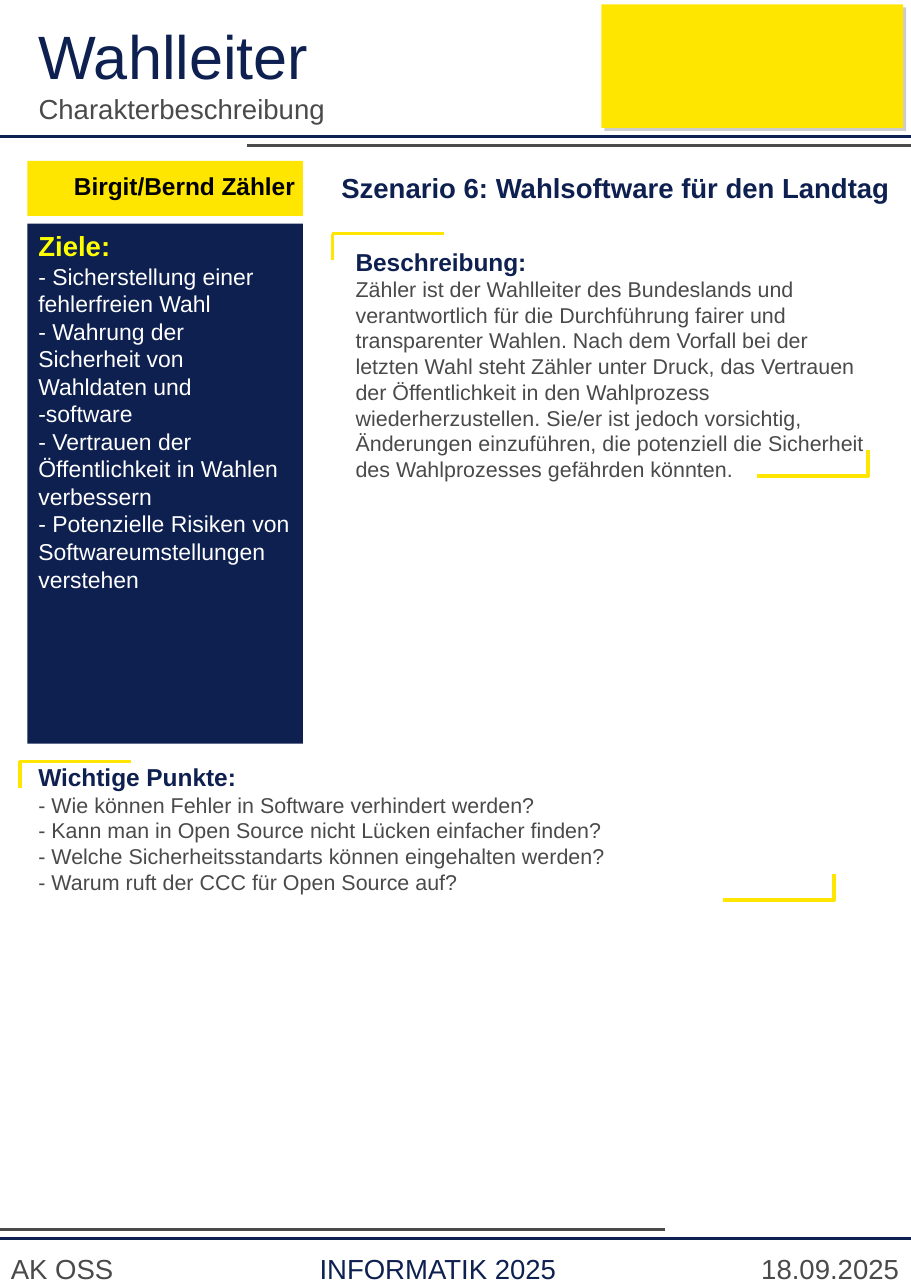
from lxml import etree
from pptx import Presentation, util as u
from pptx.dml.color import RGBColor
from pptx.enum import shapes, text
from pptx.oxml import parse_xml
from pptx.oxml.ns import qn

PX = 9144
WIDE, HIGH = 827, 1169
FONT = "Arial"
HUES = {"navy": "0E2050", "gold": "FFE600", "lemon": "FFFF00",
        "grey": "4A4A4A", "black": "000000", "white": "FFFFFF"}
LEFT, MID, RIGHT = text.PP_ALIGN.LEFT, text.PP_ALIGN.CENTER, text.PP_ALIGN.RIGHT
SHADE = (
    '<a:effectLst xmlns:a="http://schemas.openxmlformats.org/drawingml/2006/main">'
    '<a:outerShdw blurRad="0" dist="35560" dir="2700000" algn="tl" rotWithShape="0">'
    '<a:srgbClr val="CCCCCC"/></a:outerShdw></a:effectLst>')

GOALS = ["- Sicherstellung einer fehlerfreien Wahl",
         "- Wahrung der Sicherheit von Wahldaten und -software",
         "- Vertrauen der Öffentlichkeit in Wahlen verbessern",
         "- Potenzielle Risiken von Softwareumstellungen verstehen"]
STORY = ["Zähler ist der Wahlleiter des Bundeslands und verantwortlich für die "
         "Durchführung fairer und transparenter Wahlen. Nach dem Vorfall bei der "
         "letzten Wahl steht Zähler unter Druck, das Vertrauen der Öffentlichkeit "
         "in den Wahlprozess wiederherzustellen. Sie/er ist jedoch vorsichtig, "
         "Änderungen einzuführen, die potenziell die Sicherheit des Wahlprozesses "
         "gefährden könnten."]
POINTS = ["- Wie können Fehler in Software verhindert werden?",
          "- Kann man in Open Source nicht Lücken einfacher finden?",
          "- Welche Sicherheitsstandarts können eingehalten werden?",
          "- Warum ruft der CCC für Open Source auf?"]


def tint(name):
    return RGBColor.from_string(HUES[name])


def place(box):
    return [n * PX for n in box]


def block(slide, box, hue):
    rect = slide.shapes.add_shape(shapes.MSO_SHAPE.RECTANGLE, *place(box))
    rect.shadow.inherit = False
    rect.fill.solid()
    rect.fill.fore_color.rgb = tint(hue)
    rect.line.fill.background()
    return rect


def rule(slide, start, end, hue):
    line = slide.shapes.add_connector(
        shapes.MSO_CONNECTOR.STRAIGHT, *place(start + end))
    line.line.color.rgb = tint(hue)
    line.line.width = u.Pt(2.3)
    etree.SubElement(line._element.spPr, qn("a:effectLst"))


def corner(slide, x, y, way):
    rule(slide, (x - way, y), (x + 101 * way, y), "gold")
    rule(slide, (x, y + 24 * way), (x, y - (way < 0) * way), "gold")


def write(frame, head, body=(), align=LEFT, wrap=True):
    frame.text = "\n".join([head[0], *body[:1][0]]) if body else head[0]
    frame.word_wrap = wrap
    frame.auto_size = text.MSO_AUTO_SIZE.NONE
    frame.vertical_anchor = text.MSO_ANCHOR.TOP
    for i, para in enumerate(frame.paragraphs):
        size, hue, bold = body[1:] + (False,) if i else head[1:]
        para.alignment = align
        for run in para.runs:
            run.font.name = FONT
            run.font.size = u.Pt(size)
            run.font.bold = bold
            run.font.color.rgb = tint(hue)


def label(slide, box, head, body=(), align=LEFT, wrap=True):
    note = slide.shapes.add_textbox(*place(box))
    write(note.text_frame, head, body, align, wrap)


def header(slide):
    title = slide.shapes.title
    title.left, title.top, title.width, title.height = place((25, 12, 500, 100))
    write(title.text_frame, ("Wahlleiter", 40, "navy", False),
          (["Charakterbeschreibung"], 18, "grey"))
    logo = block(slide, (546, 4, 274, 112), "gold")
    spot = logo._element.spPr
    spot.replace(spot.find(qn("a:effectLst")), parse_xml(SHADE))
    rule(slide, (0, 124), (WIDE, 124), "navy")
    rule(slide, (224, 132), (WIDE, 132), "grey")


def footer(slide):
    rule(slide, (0, 1116), (604, 1116), "grey")
    rule(slide, (0, 1124), (WIDE, 1124), "navy")
    for x, wide, words, hue, align in [
            (0, 113, "AK OSS", "grey", LEFT),
            (280, 235, "INFORMATIK 2025", "navy", MID),
            (681, 145, "18.09.2025", "grey", RIGHT)]:
        label(slide, (x, 1131, wide, 38), (words, 18, hue, False),
              align=align, wrap=False)


def main():
    deck = Presentation()
    deck.slide_width, deck.slide_height = place((WIDE, HIGH))
    slide = deck.slides.add_slide(deck.slide_layouts[5])
    header(slide)

    block(slide, (25, 146, 250, 50), "gold")
    label(slide, (18, 150, 299, 66),
          ("Birgit/Bernd Zähler", 16, "black", True), align=MID)
    label(slide, (300, 150, 525, 50),
          ("Szenario 6: Wahlsoftware für den Landtag", 18, "navy", True))

    for x, y, way in [(302, 212, 1), (788, 432, -1),
                      (18, 691, 1), (757, 817, -1)]:
        corner(slide, x, y, way)

    label(slide, (313, 219, 487, 385),
          ("Beschreibung:", 16, "navy", True), (STORY, 14, "grey"))
    block(slide, (25, 203, 250, 472), "navy")
    label(slide, (25, 203, 250, 455),
          ("Ziele:", 18, "lemon", True), (GOALS, 15, "white"))
    label(slide, (25, 687, 754, 251),
          ("Wichtige Punkte:", 16, "navy", True), (POINTS, 14, "grey"))

    footer(slide)
    deck.save("out.pptx")


if __name__ == "__main__":
    main()
